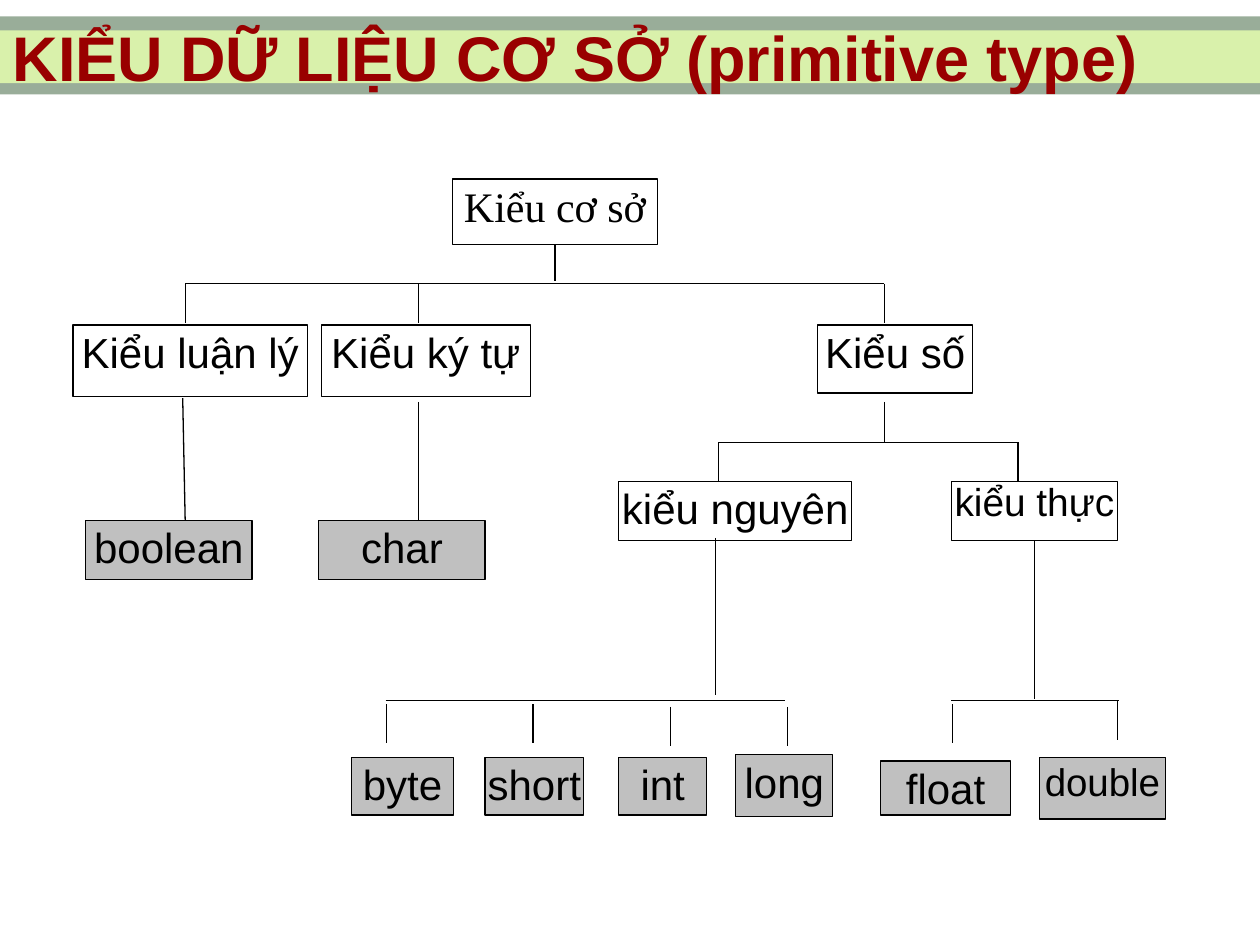
from lxml.etree import SubElement
from pptx import Presentation
from pptx.dml.color import RGBColor
from pptx.enum.shapes import MSO_CONNECTOR, MSO_SHAPE
from pptx.enum.text import MSO_ANCHOR, MSO_AUTO_SIZE, PP_ALIGN
from pptx.oxml.ns import qn
from pptx.util import Inches, Pt

COLORS = {
    "band": "003300", "title_fill": "D9F1AB", "title": "990000",
    "group": "FFFFFF", "type": "C0C0C0", "ink": "000000",
}
TITLE = "KIỂU DỮ LIỆU CƠ SỞ (primitive type)"

# label, fill, (left, top, width, height)
NODES = [
    ("Kiểu cơ sở", "group", (3.59, 1.42, 1.63, 0.52)),
    ("Kiểu luận lý", "group", (0.58, 2.58, 1.86, 0.57)),
    ("Kiểu ký tự", "group", (2.55, 2.58, 1.66, 0.57)),
    ("Kiểu số", "group", (6.49, 2.58, 1.23, 0.54)),
    ("kiểu nguyên", "group", (4.91, 3.82, 1.85, 0.47)),
    ("kiểu thực", "group", (7.55, 3.82, 1.32, 0.47)),
    ("boolean", "type", (0.68, 4.13, 1.32, 0.47)),
    ("char", "type", (2.53, 4.13, 1.32, 0.47)),
    ("byte", "type", (2.79, 6.01, 0.81, 0.46)),
    ("short", "type", (3.85, 6.01, 0.78, 0.46)),
    ("int", "type", (4.91, 6.01, 0.7, 0.46)),
    ("long", "type", (5.84, 5.99, 0.77, 0.49)),
    ("float", "type", (6.99, 6.04, 1.03, 0.43)),
    ("double", "type", (8.25, 6.01, 1, 0.49)),
]
FONTS = {"Kiểu cơ sở": "Times New Roman"}
SIZES = {"kiểu thực": 22.2, "double": 22}
LINE_SPACINGS = {"kiểu thực": 0.9}

# Stems that leave the middle of a node's bottom side: node, end height
CENTRED_STEMS = [("Kiểu cơ sở", 2.23), ("kiểu thực", 5.55)]
# Other stems: start, end
STEMS = [
    ((1.45, 3.16), (1.47, 4.13)),
    ((3.32, 3.19), (3.32, 4.13)),
    ((7.02, 3.19), (7.02, 3.51)),
    ((5.68, 4.27), (5.68, 5.52)),
]
# Branches: height, left, right, drops as (x, top)
BRANCHES = [
    (2.25, 1.47, 7.02, [(1.47, 2.25), (3.32, 2.25), (7.02, 2.25)]),
    (3.51, 5.7, 8.08, [(5.7, 3.51), (8.08, 3.51)]),
    (5.56, 3.06, 6.23, [(3.07, 5.59), (4.23, 5.59), (5.32, 5.61), (6.25, 5.61)]),
    (5.56, 7.55, 8.88, [(7.56, 5.59), (8.87, 5.56)]),
]
DROP = 0.31


def color(key):
    return RGBColor.from_string(COLORS[key])


def add_label(frame, text, font, size, ink, bold=False):
    paragraph = frame.paragraphs[0]
    run = paragraph.add_run()
    run.text = text
    run.font.name, run.font.size, run.font.bold = font, Pt(size), bold
    run.font.color.rgb = color(ink)
    return paragraph


def add_rectangle(slide, box, fill):
    rectangle = slide.shapes.add_shape(MSO_SHAPE.RECTANGLE, *map(Inches, box))
    rectangle.shadow.inherit = False
    rectangle.fill.solid()
    rectangle.fill.fore_color.rgb = color(fill)
    return rectangle


def add_header(slide):
    band = add_rectangle(slide, (0, 0.13, 10, 0.62), "band")
    band.line.fill.background()
    tint = band.fill._xPr.find(qn("a:solidFill"))[0]
    SubElement(tint, qn("a:alpha"), val="40000")

    title = slide.shapes.title
    title._element.addprevious(band._element)  # band goes behind the title
    title.left, title.top, title.width, title.height = map(Inches, (0, 0.24, 10, 0.42))
    title.fill.solid()
    title.fill.fore_color.rgb = color("title_fill")
    frame = title.text_frame
    frame.auto_size = MSO_AUTO_SIZE.NONE
    frame.word_wrap = True
    frame.vertical_anchor = MSO_ANCHOR.MIDDLE
    add_label(frame, TITLE, "Arial", 36, "title", bold=True).alignment = PP_ALIGN.LEFT


def add_node(slide, text, fill, box):
    node = add_rectangle(slide, box, fill)
    node.line.color.rgb = color("ink")
    node.line.width = Pt(0.75)
    frame = node.text_frame
    frame.word_wrap = False
    frame.vertical_anchor = MSO_ANCHOR.TOP
    frame.margin_left = frame.margin_right = Inches(0.01)
    frame.margin_top = frame.margin_bottom = Inches(0.01)
    label = add_label(frame, text, FONTS.get(text, "Arial"), SIZES.get(text, 24), "ink")
    label.alignment = PP_ALIGN.CENTER
    label.line_spacing = LINE_SPACINGS.get(text, 1.0)
    return node


def add_line(slide, start, end):
    line = slide.shapes.add_connector(
        MSO_CONNECTOR.STRAIGHT, *map(Inches, (*start, *end)))
    line.line.color.rgb = color("ink")
    line.line.width = Pt(0.75)
    SubElement(line._element.spPr, qn("a:effectLst"))
    return line


def main():
    deck = Presentation()
    deck.slide_width, deck.slide_height = Inches(10), Inches(7.5)
    slide = deck.slides.add_slide(deck.slide_layouts[5])
    add_header(slide)

    nodes = {text: add_node(slide, text, fill, box) for text, fill, box in NODES}
    boxes = {text: box for text, _, box in NODES}

    for text, end_y in CENTRED_STEMS:
        left, top, width, height = boxes[text]
        x = left + width / 2
        stem = add_line(slide, (x, top + height), (x, end_y))
        stem.begin_connect(nodes[text], 2)
    for start, end in STEMS:
        add_line(slide, start, end)
    for y, left, right, drops in BRANCHES:
        add_line(slide, (left, y), (right, y))
        for x, top in drops:
            add_line(slide, (x, top), (x, top + DROP))

    deck.save("out.pptx")


if __name__ == "__main__":
    main()
